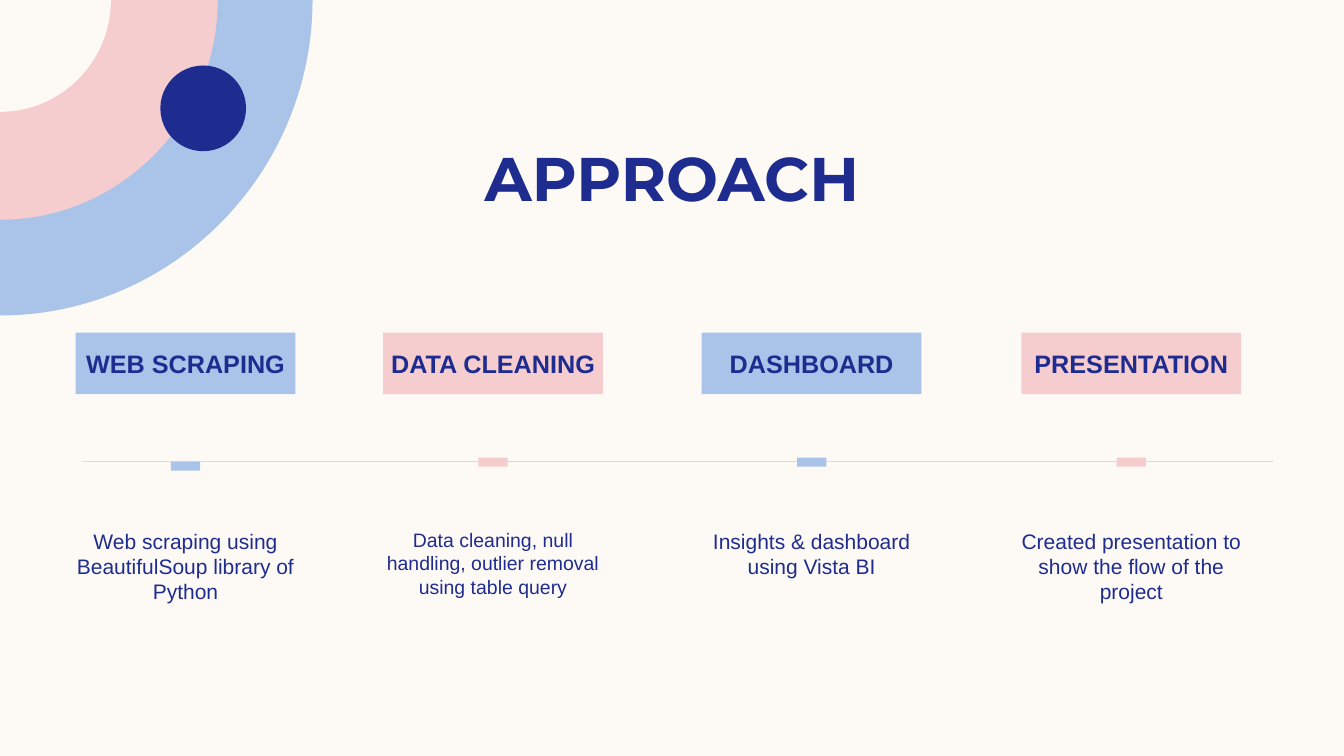
from lxml.etree import SubElement
from pptx import Presentation
from pptx.dml.color import RGBColor
from pptx.enum.shapes import MSO_CONNECTOR as Connector, MSO_SHAPE as Preset
from pptx.enum.text import MSO_ANCHOR as Anchor, PP_ALIGN as Align
from pptx.oxml.ns import qn
from pptx.util import Inches, Pt

COLORS = {
    "cream": "FDFAF6",
    "blue": "AAC3E8",
    "pink": "F5CDCE",
    "navy": "1F2C8F",
    "line": "F2D1D1",
}
RINGS = [(3.1, 3.13, "blue"), (2.16, 2.18, "pink"), (1.1, 1.11, "cream")]
STEPS = [
    (0.75, "blue", 4.58, "WEB SCRAPING",
     "Web scraping using BeautifulSoup library of Python", 15),
    (3.8, "pink", 4.54, "DATA CLEANING",
     "Data cleaning, null handling, outlier removal using table query", 13.9),
    (6.96, "blue", 4.54, "DASHBOARD",
     "Insights & dashboard using Vista BI", 15),
    (10.13, "pink", 4.54, "PRESENTATION",
     "Created presentation to show the flow of the project", 15),
]
STEP_WIDTH = 2.18
MARKER_WIDTH = 0.29
ARC_PULL = 0.55


def color(name):
    return RGBColor.from_string(COLORS[name])


def paint(shape, fill):
    shape.shadow.inherit = False
    shape.fill.solid()
    shape.fill.fore_color.rgb = color(fill)
    shape.line.fill.background()


def add_quarter_disc(slide, width, height, fill):
    right, bottom = Inches(width), Inches(height)
    builder = slide.shapes.build_freeform(0, 0)
    builder.add_line_segments([(right, 0), (0, bottom)], close=True)
    disc = builder.convert_to_shape()
    edge = list(disc._element.iter(qn("a:lnTo")))[1]
    edge.tag
    curve = SubElement(edge.getparent(), qn("a:cubicBezTo"))
    controls = [(right, int(bottom * ARC_PULL)),
                (int(right * ARC_PULL), bottom), (0, bottom)]
    for x, y in controls:
        SubElement(curve, qn("a:pt"), x=str(x), y=str(y))
    edge.getparent().replace(edge, curve)
    paint(disc, fill)


def add_block(slide, preset, left, top, width, height, fill):
    block = slide.shapes.add_shape(
        preset, Inches(left), Inches(top), Inches(width), Inches(height))
    paint(block, fill)
    return block


def add_timeline(slide, left, right, top):
    line = slide.shapes.add_connector(
        Connector.STRAIGHT, Inches(left), Inches(top), Inches(right), Inches(top))
    line.line.color.rgb = color("line")
    line.line.width = Pt(1)
    SubElement(line._element.spPr, qn("a:effectLst"))


def write(shape, text, size, font="Arial", bold=False, anchor=Anchor.MIDDLE,
          side=0, edge=0):
    frame = shape.text_frame
    frame.word_wrap = True
    frame.vertical_anchor = anchor
    frame.margin_left = frame.margin_right = Inches(side)
    frame.margin_top = frame.margin_bottom = Inches(edge)
    para = frame.paragraphs[0]
    para.alignment = Align.CENTER
    span = para.add_run()
    span.text = text
    span.font.name = font
    span.font.size = Pt(size)
    span.font.bold = bold
    span.font.color.rgb = color("navy")


def add_text(slide, left, top, width, height, text, size, **style):
    box = slide.shapes.add_textbox(
        Inches(left), Inches(top), Inches(width), Inches(height))
    write(box, text, size, **style)


def add_step(slide, left, fill, marker_top, heading, detail, size):
    label = add_block(slide, Preset.RECTANGLE, left, 3.3, STEP_WIDTH, 0.61, fill)
    write(label, heading, 18, bold=True)
    marker_left = left + (STEP_WIDTH - MARKER_WIDTH) / 2
    add_block(slide, Preset.RECTANGLE, marker_left, marker_top,
              MARKER_WIDTH, 0.09, fill)
    add_text(slide, left, 5.19, STEP_WIDTH, 0.87, detail, size,
             anchor=Anchor.TOP, edge=0.05)


def main():
    deck = Presentation()
    deck.slide_width = Inches(13.33)
    deck.slide_height = Inches(7.5)
    page = deck.slides.add_slide(deck.slide_layouts[6])
    page.background.fill.solid()
    page.background.fill.fore_color.rgb = color("cream")

    for width, height, fill in RINGS:
        add_quarter_disc(page, width, height, fill)
    add_block(page, Preset.OVAL, 1.59, 0.65, 0.85, 0.85, "navy")
    add_timeline(page, 0.81, 12.63, 4.58)
    add_text(page, 0.83, 1.33, 11.67, 0.84, "APPROACH", 44, font="Montserrat",
             bold=True, anchor=Anchor.BOTTOM, side=0.1, edge=0.05)
    for step in STEPS:
        add_step(page, *step)

    deck.save("out.pptx")


if __name__ == "__main__":
    main()
